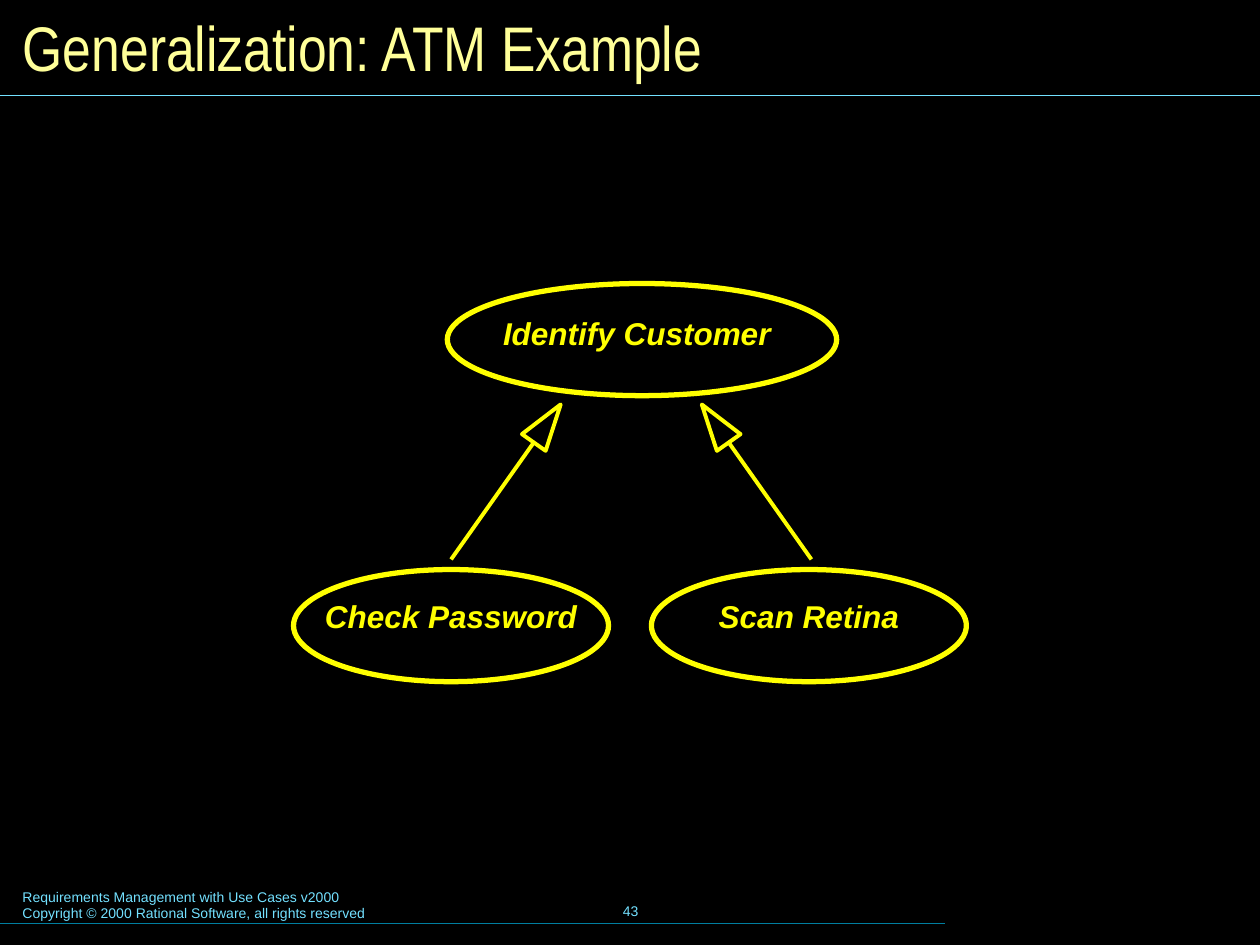
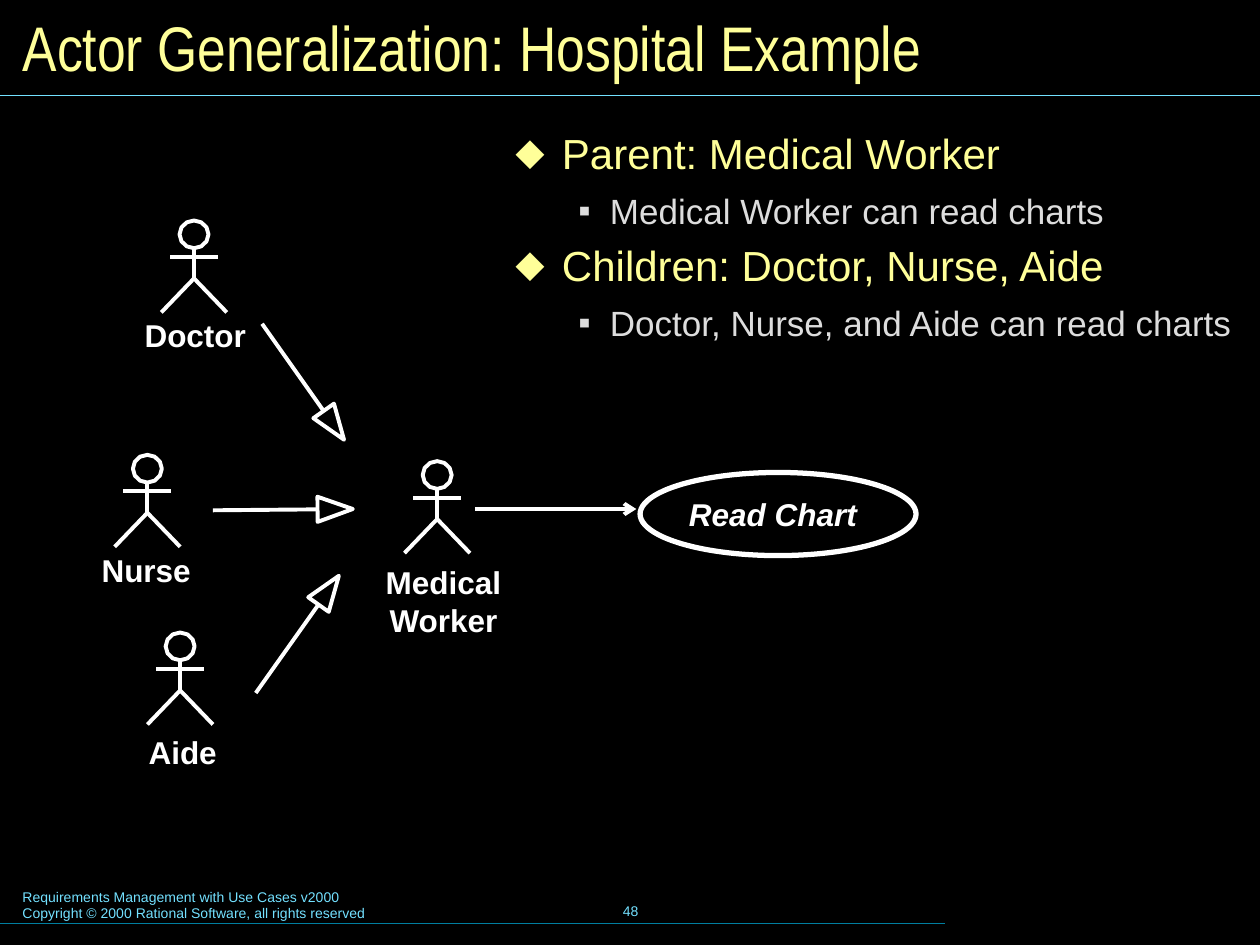
from collections import namedtuple
from dataclasses import dataclass
from math import atan2, cos, degrees, hypot, pi, sin

from lxml.etree import SubElement
from pptx import Presentation
from pptx.dml.color import RGBColor
from pptx.enum.shapes import MSO_CONNECTOR, MSO_SHAPE
from pptx.enum.text import MSO_ANCHOR, MSO_AUTO_SIZE, PP_ALIGN
from pptx.oxml.ns import qn
from pptx.util import Inches, Pt


@dataclass(frozen=True)
class Theme:
    back: str = "000000"
    title: str = "FFFF99"
    sub: str = "DDDDDD"
    foot: str = "73E1FF"
    base: str = "007E9F"
    case: str = "FFFF00"
    plain: str = "FFFFFF"
    face: str = "Arial"
    slim: str = "Arial Narrow"
    head_pt: float = 36
    label_pt: float = 18
    foot_pt: float = 8
    thin: float = 0.75
    line: float = 2.25
    bold: float = 3


T = Theme()
Box = namedtuple("Box", "x y w h")
Level = namedtuple("Level", "size color mark left hang lead")
LEVELS = [Level(24, T.title, "⬥", 0.37, 0.37, 0.8),
          Level(20, T.sub, "▪", 0.75, 0.25, 0.87)]
FOOTER = ["Requirements Management with Use Cases v2000",
          "Copyright © 2000 Rational Software, all rights reserved"]


# Formatting helpers
def put(item, values):
    for name, value in values.items():
        setattr(item, name, value)


def inch(*nums):
    return [Inches(n) for n in nums]


def ink(font, size, color, name=T.face, **more):
    put(font, dict(size=Pt(size), name=name, **more))
    font.color.rgb = RGBColor.from_string(color)


def frame(shape, pad, anchor=MSO_ANCHOR.TOP):
    side, edge = inch(*pad)
    put(shape.text_frame, dict(
        margin_left=side, margin_right=side, margin_top=edge,
        margin_bottom=edge, word_wrap=True, vertical_anchor=anchor,
        auto_size=MSO_AUTO_SIZE.NONE))
    return shape.text_frame


def place(shape, box):
    put(shape, dict(zip(("left", "top", "width", "height"), inch(*box))))


def stroke(shape, color, width):
    shape.line.color.rgb = RGBColor.from_string(color)
    shape.line.width = Pt(width)


# Drawing helpers
def outline(shape, color, width):
    shape.shadow.inherit = False
    shape.fill.background()
    stroke(shape, color, width)


def line(shapes, start, end, color, width=T.line, head=None):
    link = shapes.add_connector(MSO_CONNECTOR.STRAIGHT, *inch(*start, *end))
    stroke(link, color, width)
    props = link._element.spPr
    if head:
        SubElement(props.find(qn("a:ln")), qn("a:tailEnd"), type=head)
    SubElement(props, qn("a:effectLst"))


def trace(shapes, points, color, close):
    spots = [inch(*point) for point in points]
    pen = shapes.build_freeform(*spots[0])
    pen.add_line_segments(spots[1:], close=close)
    outline(pen.convert_to_shape(), color, T.line)


def text(slide, box, rows, size, color, align=PP_ALIGN.LEFT,
         pad=(0.1, 0.05), anchor=MSO_ANCHOR.TOP, **more):
    body = frame(slide.shapes.add_textbox(*inch(*box)), pad, anchor)
    for i, row in enumerate(rows):
        para = body.add_paragraph() if i else body.paragraphs[0]
        para.text, para.alignment = row, align
        ink(para.font, size, color, **more)


def label(slide, mid, top, width, name, color, **more):
    text(slide, Box(mid - width / 2, top, width, 0.42), [name], T.label_pt,
         color, PP_ALIGN.CENTER, (0.12, 0.06), bold=True, **more)


# Use case: ellipse with its name
def case(slide, box, name, color, dx, dy):
    oval = slide.shapes.add_shape(MSO_SHAPE.OVAL, *inch(*box))
    outline(oval, color, T.bold)
    label(slide, box.x + box.w / 2 + dx, box.y + dy, 2.6, name, color,
          italic=True)


# Generalization: line with a hollow triangle at its tip
def inherit(slide, box, tail, tip, color, wide, deep):
    (x1, y1), (x2, y2) = [(box.x + x, box.y + y) for x, y in (tail, tip)]
    span = hypot(x2 - x1, y2 - y1)
    ux, uy = (x2 - x1) / span, (y2 - y1) / span
    parts = slide.shapes.add_group_shape().shapes
    line(parts, (x1, y1), (x2 - deep * ux, y2 - deep * uy), color)
    mx, my = x2 - deep * ux / 2, y2 - deep * uy / 2
    head = parts.add_shape(MSO_SHAPE.ISOSCELES_TRIANGLE, *inch(
        mx - wide / 2, my - deep / 2, wide, deep))
    head.rotation = degrees(atan2(ux, -uy))
    outline(head, color, T.line)


# Actor: stick figure, centred on mid
def actor(slide, mid, top):
    parts = slide.shapes.add_group_shape().shapes
    turns = [i * pi / 6 for i in range(12)]
    trace(parts, [(mid + 0.115 * sin(a), top + 0.11 - 0.11 * cos(a))
                  for a in turns], T.plain, True)
    trace(parts, [(mid - 0.26, top + 0.73), (mid, top + 0.46),
                  (mid + 0.26, top + 0.73)], T.plain, False)
    line(parts, (mid - 0.19, top + 0.29), (mid + 0.19, top + 0.29), T.plain)
    line(parts, (mid, top + 0.23), (mid, top + 0.47), T.plain)


# Shared title, rules and footer
def page(deck, layout, title, number):
    slide = deck.slides.add_slide(deck.slide_layouts[layout])
    shapes = slide.shapes
    text(slide, Box(0.08, 7, 5.1, 0.37), FOOTER, T.foot_pt, T.foot)
    text(slide, Box(3.42, 6.98, 3.17, 0.5), [number], T.foot_pt, T.foot,
         PP_ALIGN.CENTER, anchor=MSO_ANCHOR.MIDDLE)
    line(shapes, (0, 7.33), (7.5, 7.33), T.base, T.thin)
    line(shapes, (0, 0.76), (10, 0.76), T.foot, T.thin)
    place(shapes.title, Box(0.08, 0.08, 9.84, 0.58))
    para = frame(shapes.title, (0.1, 0.05), MSO_ANCHOR.MIDDLE).paragraphs[0]
    para.text, para.alignment = title, PP_ALIGN.LEFT
    ink(para.font, T.head_pt, T.title, T.slim)
    return slide


# Bulleted list in the body placeholder
def bullets(slide, box, rows):
    holder = slide.placeholders[1]
    place(holder, box)
    body = frame(holder, (0.12, 0.06))
    for i, (depth, row) in enumerate(rows):
        para = body.add_paragraph() if i else body.paragraphs[0]
        level = LEVELS[depth]
        para.text = row
        props = para._p.get_or_add_pPr()
        props.set("marL", str(Inches(level.left)))
        props.set("indent", str(-Inches(level.hang)))
        tint = SubElement(props, qn("a:buClr"))
        SubElement(tint, qn("a:srgbClr"), val=level.color)
        SubElement(props, qn("a:buChar"), char=level.mark)
        put(para, dict(level=depth, line_spacing=level.lead,
                       space_before=Pt(5 if i else 0), space_after=Pt(5)))
        ink(para.font, level.size, level.color)


# Parent use case above its two children
def tree(slide, box):
    tall, wide = 0.89, 2.5
    case(slide, Box(box.x + 1.22, box.y, 3.09, tall), "Identify Customer",
         T.case, -0.04, 0.18)
    low = box.y + box.h - tall
    for name, left in (("Check Password", box.x),
                       ("Scan Retina", box.x + box.w - wide)):
        case(slide, Box(left, low, wide, tall), name, T.case, 0, 0.16)
    mid = box.w / 2 + 0.01
    for side in (-1, 1):
        inherit(slide, box, (mid + side * 1.43, 2.19),
                (mid + side * 0.56, 0.96), T.case, 0.23, 0.37)


# Staff actors, their parent and its use case
def ward(slide, box):
    # name, figure centre and top, label shift and drop
    staff = [("Doctor", 0.9, 0, 0.01, 0.7),
             ("Nurse", 0.53, 1.86, -0.01, 0.7),
             ("Aide", 0.79, 3.27, 0.02, 0.74),
             ("Medical Worker", 2.83, 1.91, 0.05, 0.75)]
    for name, mid, top, shift, drop in staff:
        mid, top = box.x + mid, box.y + top
        actor(slide, mid, top)
        label(slide, mid + shift, top + drop, 1.31, name, T.plain)
    for tail, tip in (((1.44, 0.82), (2.09, 1.74)),
                      ((1.05, 2.3), (2.16, 2.29)),
                      ((1.39, 3.75), (2.05, 2.82))):
        inherit(slide, box, tail, tip, T.plain, 0.2, 0.28)
    case(slide, Box(box.x + 4.44, box.y + 2, 2.19, 0.66), "Read Chart",
         T.plain, -0.04, 0.12)
    y = box.y + 2.29
    line(slide.shapes, (box.x + 3.13, y), (box.x + 4.41, y), T.plain,
         head="arrow")


def main():
    deck = Presentation()
    put(deck, dict(slide_width=Inches(10), slide_height=Inches(7.5)))
    fill = deck.slide_master.background.fill
    fill.solid()
    fill.fore_color.rgb = RGBColor.from_string(T.back)

    slide = page(deck, 5, "Generalization: ATM Example", "43")
    tree(slide, Box(2.33, 2.25, 5.34, 3.16))

    slide = page(deck, 1, "Actor Generalization: Hospital Example", "48")
    bullets(slide, Box(3.97, 1.03, 5.95, 2.47), [
        (0, "Parent: Medical Worker"),
        (1, "Medical Worker can read charts"),
        (0, "Children: Doctor, Nurse, Aide"),
        (1, "Doctor, Nurse, and Aide can read charts")])
    ward(slide, Box(0.64, 1.75, 6.63, 4.43))
    deck.save("out.pptx")


if __name__ == "__main__":
    main()
